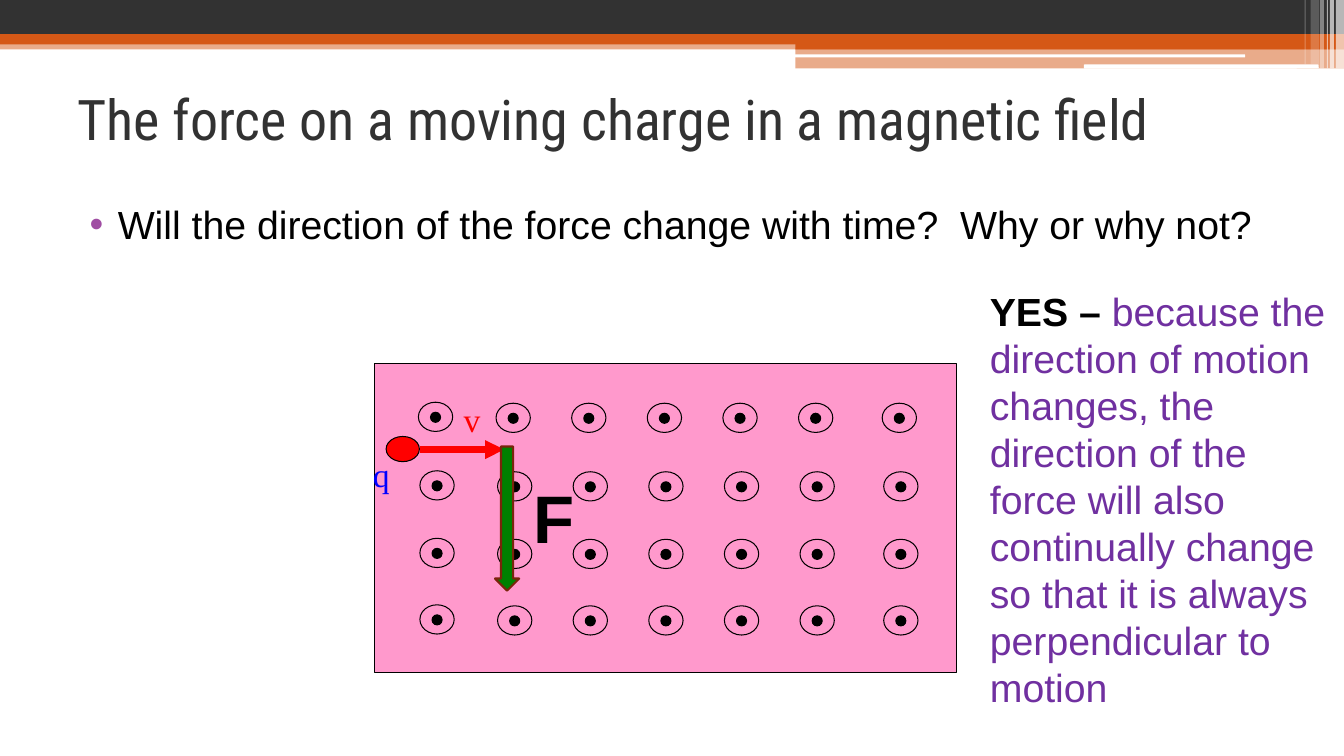
from lxml import etree
from pptx import Presentation
from pptx import util as u
from pptx.dml.color import RGBColor
from pptx.enum import shapes, text
from pptx.oxml import ns

KIND = shapes.MSO_SHAPE


def tint(code):
    return RGBColor.from_string(code)


class Board:
    """Holds the style and the slide, and draws each kind of element."""
    sans, serif, head = "Arial", "Times New Roman", "Roboto Condensed"
    black, white, dark, rust = "000000", "FFFFFF", "323232", "D55816"
    red, plum = "FF0000", "7030A0"

    def __init__(self, deck):
        self.slide = deck.slides.add_slide(deck.slide_layouts[6])
        self.pen = self.slide.shapes

    def group(self):
        self.pen = self.slide.shapes.add_group_shape().shapes

    def free(self):
        self.pen = self.slide.shapes

    def tag(self, node, name, **attrs):
        return etree.SubElement(node, ns.qn("a:" + name), **attrs)

    def shape(self, kind, box, fill=None, line=None, width=0.75, alpha=100):
        item = self.pen.add_shape(kind, *map(u.Inches, box))
        item.shadow.inherit = False
        if fill:
            item.fill.solid()
            item.fill.fore_color.rgb = tint(fill)
        else:
            item.fill.background()
        if alpha < 100:
            node = item._element.spPr.find(".//" + ns.qn("a:srgbClr"))
            self.tag(node, "alpha", val=str(alpha * 1000))
        if line:
            item.line.color.rgb = tint(line)
            item.line.width = u.Pt(width)
        else:
            item.line.fill.background()
        return item

    def arrow(self, start, end, color, width):
        line = self.pen.add_connector(
            shapes.MSO_CONNECTOR.STRAIGHT, *map(u.Inches, start + end))
        line.line.color.rgb = tint(color)
        line.line.width = u.Pt(width)
        self.tag(line.line._get_or_add_ln(), "tailEnd", type="triangle")
        self.tag(line._element.spPr, "effectLst")

    def words(self, box, runs, size, face, left=0, hang=0, gap=0,
              dot=None, anchor=text.MSO_ANCHOR.TOP):
        frame = self.pen.add_textbox(*map(u.Inches, box)).text_frame
        frame.word_wrap = True
        frame.vertical_anchor = anchor
        par = frame.paragraphs[0]
        par.space_before = u.Pt(gap)
        props = par._p.get_or_add_pPr()
        props.set("marL", str(u.Inches(left)))
        props.set("indent", str(u.Inches(hang)))
        if dot:
            self.tag(self.tag(props, "buClr"), "srgbClr", val=dot)
            self.tag(props, "buFont", typeface=self.sans)
            self.tag(props, "buChar", char="•")
        par.font.size = u.Pt(size)
        par.font.name = face
        for wording, color, bold in runs:
            run = par.add_run()
            run.text = wording
            run.font.color.rgb = tint(color)
            run.font.bold = bold

    def field(self, x, y):
        self.shape(KIND.OVAL, (x, y, 0.34, 0.29), line=self.black)
        self.shape(KIND.OVAL, (x + 0.12, y + 0.1, 0.1, 0.1),
                   self.black, self.black)


def banner(board):
    bars = [
        (0, 0.4, 13.33, 0.09, board.rust, 50),
        (0, 0, 13.33, 0.34, board.dark, 100),
        (0, 0.34, 13.33, 0.1, board.rust, 100),
        (7.89, 0.39, 5.44, 0.1, board.rust, 100),
        (7.89, 0.48, 5.44, 0.2, board.rust, 50),
    ]
    for *box, fill, alpha in bars:
        board.shape(KIND.RECTANGLE, box, fill, alpha=alpha)
    for box in [(7.88, 0.54, 4.47, 0.03), (10.75, 0.64, 2.33, 0.04)]:
        board.shape(KIND.ROUNDED_RECTANGLE, box, board.white)
    strips = [(13.25, 0.08, 0.68, 65), (13.19, 0.04, 0.68, 65),
              (13.16, 0.01, 0.68, 60), (13.09, 0.04, 0.68, 40),
              (13, 0.08, 0.64, 20), (12.94, 0.01, 0.64, 30)]
    for x, wide, high, alpha in strips:
        board.shape(KIND.RECTANGLE, (x, 0, wide, high), board.white,
                    alpha=alpha)


def magnet(board):
    board.shape(KIND.RECTANGLE, (3.71, 3.61, 5.78, 3.06), "FF99CC",
                board.black)
    inner = [(4.92 + 0.75 * i, 4) for i in range(5)]
    for x, top in [(4.15, 3.99), *inner, (8.75, 4)]:
        board.group()
        for row, drop in enumerate((0, 0.68, 1.35, 2.01)):
            board.field(x + (0.015 if row else 0), top + drop)
    board.free()


def charge(board):
    board.shape(KIND.OVAL, (3.83, 4.33, 0.33, 0.25), board.red, board.black)
    board.arrow((4.17, 4.46), (5, 4.46), board.red, 4.5)
    board.words((4.5, 3.91, 0.54, 0.5), [("v", board.red, False)],
                24, board.serif, gap=2)
    board.words((3.6, 4.45, 0.5, 0.5), [("q", "0000FF", False)],
                24, board.serif, gap=2)


def force(board):
    board.group()
    board.shape(KIND.DOWN_ARROW, (4.91, 4.43, 0.24, 1.43), "008000",
                "7A240B", 1.5)
    board.words((4.69, 4.68, 1.7, 0.91), [("F", board.black, True)],
                48, board.sans, left=0.5)
    board.free()


def main():
    deck = Presentation()
    deck.slide_width, deck.slide_height = u.Inches(13.33), u.Inches(7.5)
    board = Board(deck)
    banner(board)
    board.words((0.67, 0.59, 12, 1.17),
                [("The force on a moving charge in a magnetic field",
                  board.dark, False)],
                40, board.head, anchor=text.MSO_ANCHOR.MIDDLE)
    magnet(board)
    charge(board)
    board.words((0.67, 1.94, 12, 0.7),
                [("Will the direction of the force change with time?  "
                  "Why or why not?", board.black, False)],
                28, board.sans, left=0.4, hang=-0.28, gap=3, dot="A04DA3")
    board.words((9.22, 2.8, 4.07, 4.34),
                [("YES – ", board.black, True),
                 ("because the direction of motion changes, the direction "
                  "of the force will also continually change so that it is "
                  "always perpendicular to motion", board.plum, False)],
                28, board.sans, left=0.5)
    force(board)
    deck.save("out.pptx")


if __name__ == "__main__":
    main()
